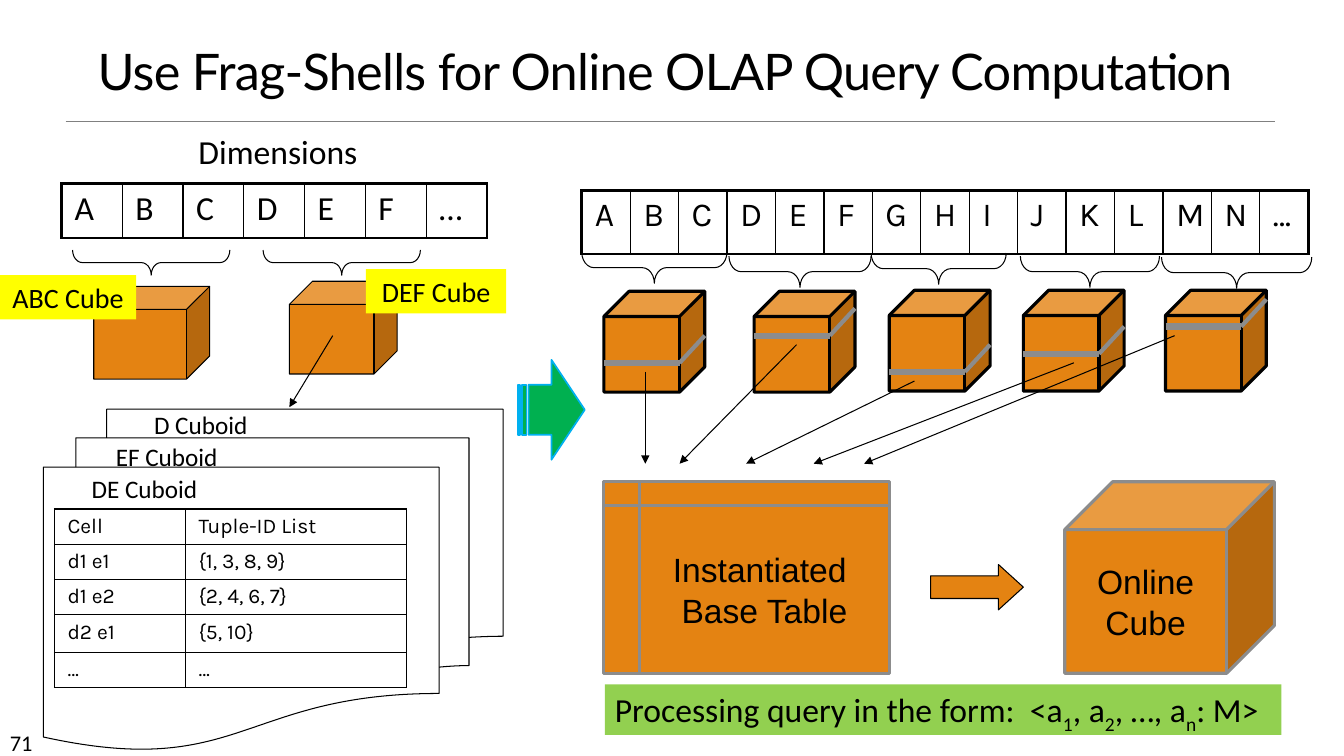
"""Build a slide on answering OLAP queries with frag-shells."""
import dataclasses
import pptx
import pptx.dml.color
import pptx.enum.shapes
import pptx.enum.text
import pptx.oxml
import pptx.oxml.ns
import pptx.util

TITLE = "Use Frag-Shells for Online OLAP Query Computation"
PAGE = "71"
HEAD = "Dimensions"
FEW = [list("ABCDEF…")]
MANY = [list("ABCDEFGHIJKLMN…")]
CELLS = [
    ("Cell", "Tuple-ID List"),
    ("d1 e1", "{1, 3, 8, 9}"),
    ("d1 e2", "{2, 4, 6, 7}"),
    ("d2 e1", "{5, 10}"),
    ("…", "…"),
]
SHELLS = [
    ("ABC Cube", (0.93, 2.84, 1.15, 0.92), (0, 2.73, 1.35, 0.44)),
    ("DEF Cube", (2.87, 2.79, 1.07, 0.92), (3.63, 2.67, 1.39, 0.44)),
]
PAGES = [("D Cuboid", 1.43, 1.14), ("EF Cuboid", 1.05, 1.22),
         ("DE Cuboid", 0.81, 1.28)]
BASE = ["Instantiated ", "Base Table"]
ONLINE = ["Online", "Cube"]
QUERY = [[("Processing query in the form:  <a", 0), ("1", -25), (", a", 0),
          ("2", -25), (", …, a", 0), ("n", -25), (": M>", 0)]]
SMALL = [(0.72, 2.48, 1.56), (2.61, 2.48, 1.56)]
BRACES = [(5.77, 2.5, 1.44), (7.23, 2.54, 1.41), (8.64, 2.51, 1.34),
          (10.12, 2.54, 1.38), (11.52, 2.55, 1.49)]
CUBES = [
    (5.99, 2.89, 3.6, 6.4, 6.4),
    (7.48, 2.89, 3.33, 7.9, 6.74),
    (8.82, 2.88, 3.69, 9.07, 7.4),
    (10.15, 2.88, 3.51, 10.65, 8.07),
    (11.56, 2.88, 3.24, 11.65, 8.57),
]


@dataclasses.dataclass
class Theme:
    """Hold colours, fonts and type sizes."""
    ink: str = "000000"
    rule: str = "808080"
    band: str = "8C8C8C"
    cube: str = "E48312"
    tag: str = "FFFF00"
    go: str = "00B050"
    edge: str = "00B0F0"
    query: str = "92D050"
    title: str = "Lato"
    body: str = "Calibri"
    data: str = "Karla"
    plain: str = "Arial"
    huge: int = 36
    big: int = 24
    mid: int = 20
    note: int = 18
    page: int = 16
    small: int = 15


T = Theme()
KIND = pptx.enum.shapes.MSO_SHAPE
ALIGN = pptx.enum.text.PP_ALIGN
ANCHOR = pptx.enum.text.MSO_ANCHOR
U = pptx.util.Inches


def tint(code):
    return pptx.dml.color.RGBColor.from_string(code)


def write(frame, text, size=T.big, font=T.body, align=ALIGN.LEFT,
          anchor=ANCHOR.TOP, wrap=True, gap=None, track=0):
    frame.auto_size = pptx.enum.text.MSO_AUTO_SIZE.NONE
    frame.word_wrap = wrap
    frame.vertical_anchor = anchor
    for i, line in enumerate([text] if isinstance(text, str) else text):
        para = frame.add_paragraph() if i else frame.paragraphs[0]
        para.alignment = align
        para.line_spacing = gap
        for word, shift in [(line, 0)] if isinstance(line, str) else line:
            run = para.add_run()
            run.text = word
            run.font.size = pptx.util.Pt(size)
            run.font.name = font
            run.font.color.rgb = tint(T.ink)
            props = run.font._element
            if shift:
                props.set("baseline", str(shift * 1000))
            if track:
                props.set("spc", str(int(track * 100)))


def label(slide, text, box, **form):
    write(slide.shapes.add_textbox(*map(U, box)).text_frame, text, **form)


def shape(slide, kind, box, fill=None, line=None, wide=0.75, adjust=()):
    item = slide.shapes.add_shape(kind, *map(U, box))
    item.shadow.inherit = False
    if fill:
        item.fill.solid()
        item.fill.fore_color.rgb = tint(fill)
    else:
        item.fill.background()
    if line:
        item.line.color.rgb = tint(line)
        item.line.width = pptx.util.Pt(wide)
    else:
        item.line.fill.background()
    for i, value in enumerate(adjust):
        item.adjustments[i] = value
    return item


def stroke(slide, start, end, color=T.ink, wide=0.75, arrow=False):
    item = slide.shapes.add_connector(
        pptx.enum.shapes.MSO_CONNECTOR.STRAIGHT, *map(U, start + end))
    item.line.color.rgb = tint(color)
    item.line.width = pptx.util.Pt(wide)
    if arrow:
        tail = pptx.oxml.parse_xml(
            f'<a:tailEnd {pptx.oxml.ns.nsdecls("a")} type="triangle"/>')
        item.line._get_or_add_ln().append(tail)
    item._element.spPr.append(pptx.oxml.parse_xml(
        f'<a:effectLst {pptx.oxml.ns.nsdecls("a")}/>'))


def brace(slide, left, top, span, depth):
    box = (left + (span - depth) / 2, top - (span - depth) / 2, depth, span)
    shape(slide, KIND.LEFT_BRACE, box, line=T.ink,
          adjust=(0.389, 0.5)).rotation = 270


def grid(slide, rows, box, cols, highs, rim, **form):
    table = slide.shapes.add_table(len(rows), len(cols), *map(U, box)).table
    table.first_row = table.horz_banding = False
    for part, size in zip(table.columns, cols):
        part.width = U(size)
    for part, size in zip(table.rows, highs):
        part.height = U(size)
    for r, row in enumerate(rows):
        for c, text in enumerate(row):
            cell = table.cell(r, c)
            cell.margin_left = cell.margin_right = U(0.13)
            cell.fill.background()
            write(cell.text_frame, text, **form)
            outer = {"L": c == 0, "R": c == len(cols) - 1,
                     "T": r == 0, "B": r == len(rows) - 1}
            for i, (side, last) in enumerate(outer.items()):
                wide = pptx.util.Pt(rim if last else 1)
                cell._tc.get_or_add_tcPr().insert(i, pptx.oxml.parse_xml(
                    f'<a:ln{side} {pptx.oxml.ns.nsdecls("a")} w="{wide}">'
                    f'<a:solidFill><a:srgbClr val="{T.ink}"/></a:solidFill>'
                    f'</a:ln{side}>'))


def left_side(slide):
    grid(slide, FEW, (0.61, 1.82, 4.22, 0.54), [4.22 / 7] * 7, [0.54], 2.25)
    for spot in SMALL:
        brace(slide, *spot, 0.25)
    for _, box, _ in SHELLS:
        shape(slide, KIND.CUBE, box, T.cube, T.ink)
    for text, _, box in SHELLS:
        tag = shape(slide, KIND.RECTANGLE, box, T.tag)
        write(tag.text_frame, text, size=T.mid, align=ALIGN.CENTER, wrap=False)
    stroke(slide, (3.3, 3.33), (2.87, 4.04), arrow=True)
    shape(slide, KIND.FLOWCHART_MULTIDOCUMENT, (0.43, 4.06, 4.56, 3.38),
          line=T.ink)
    for i, (text, left, wide) in enumerate(PAGES):
        label(slide, text, (left, 4.01 + 0.32 * i, wide, 0.4), size=T.note,
              wrap=False)
    grid(slide, CELLS, (0.54, 5.05, 3.49, 1.77), [1.3, 2.19],
         [0.35, 0.35, 0.35, 0.37, 0.35], 1, size=T.small, font=T.data)
    label(slide, HEAD, (1.87, 1.25, 1.79, 0.5))


def right_side(slide):
    grid(slide, MANY, (5.77, 1.89, 7.21, 0.63), [7.21 / 15] * 15, [0.63],
         2.25, font=T.data)
    for spot in BRACES:
        brace(slide, *spot, 0.31)
    for left, top, band, _, _ in CUBES:
        shape(slide, KIND.CUBE, (left, top, 1, 1), T.cube, T.ink, 2.25)
        fold = (left + 0.75, band)
        stroke(slide, (left, band), fold, T.band, 4.5)
        stroke(slide, fold, (left + 1, band - 0.27), T.band, 3)
    form = dict(font=T.plain, align=ALIGN.CENTER, anchor=ANCHOR.MIDDLE,
                wrap=False)
    for kind, box, text in (
            (KIND.CUBE, (10.56, 4.78, 2.08, 1.9), ONLINE),
            (KIND.FLOWCHART_INTERNAL_STORAGE, (5.99, 4.78, 2.83, 1.9), BASE)):
        item = shape(slide, kind, box, T.cube, T.band, 2.25)
        write(item.text_frame, text, **form)
    shape(slide, KIND.RIGHT_ARROW, (9.23, 5.6, 0.92, 0.45), T.cube, T.ink,
          adjust=(0.5, 0.55))
    for _, _, band, start, end in CUBES:
        stroke(slide, (start, band + 0.09), (end, 4.6), arrow=True)
    shape(slide, KIND.STRIPED_RIGHT_ARROW, (5.14, 3.57, 0.66, 0.99),
          T.go, T.edge, 1.25)
    bar = shape(slide, KIND.RECTANGLE, (6, 6.79, 6.71, 0.5), T.query)
    write(bar.text_frame, QUERY)


def main():
    deck = pptx.Presentation()
    deck.slide_width, deck.slide_height = U(13.33), U(7.5)
    slide = deck.slides.add_slide(deck.slide_layouts[5])
    title = slide.shapes.title
    title.left, title.top, title.width, title.height = map(
        U, (0.38, 0.31, 12.43, 0.74))
    write(title.text_frame, TITLE, size=T.huge, font=T.title,
          align=ALIGN.CENTER, anchor=ANCHOR.BOTTOM, gap=0.85, track=-0.5)
    stroke(slide, (0.65, 1.2), (12.65, 1.2), T.rule, 0.5)
    label(slide, PAGE, (0, 7.18, 1.17, 0.3), size=T.page)
    left_side(slide)
    right_side(slide)
    deck.save("out.pptx")


if __name__ == "__main__":
    main()
